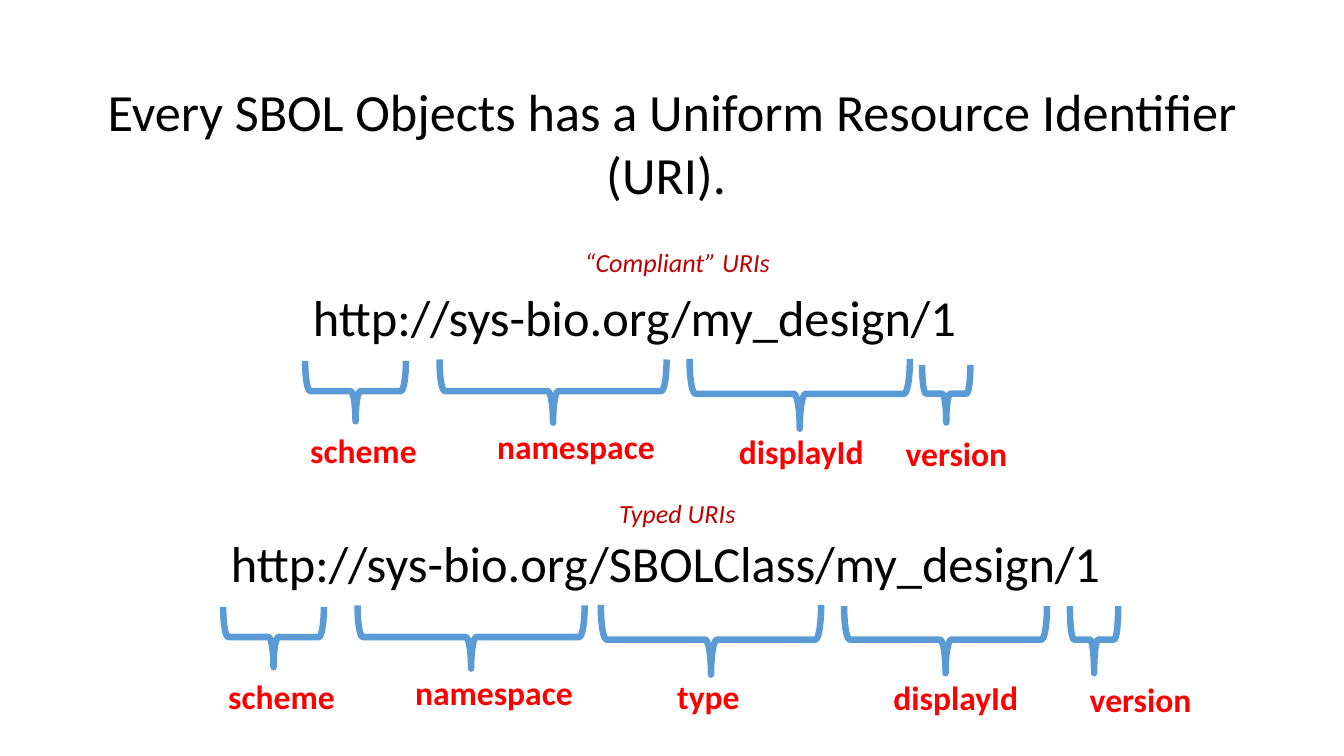
from pptx import Presentation, util as u
from pptx.dml.color import RGBColor
from pptx.enum import shapes, text

THEME = {
    "brace": {"color": "5B9BD5", "width": 3.5},
    "title": {"size": 28, "color": "000000"},
    "uri": {"size": 27, "color": "000000"},
    "caption": {"size": 14, "color": "C00000", "italic": True},
    "label": {"size": 18, "color": "FF0000", "bold": True},
}
FONT = "Calibri"
SLIDE_W = 10
SLIDE_H = SLIDE_W * 9 / 16
BLOCK_W, BLOCK_H = 9.32, 0.63
URI_H, LABEL_H = 0.56, 0.4

TITLE = "Every SBOL Objects has a Uniform Resource Identifier (URI). "
PARTS = {
    "scheme": {"brace_centre": 0.83, "label_drop": 1.07, "label_w": 1},
    "namespace": {"brace_centre": 0.83, "label_drop": 1.04, "label_w": 1.38},
    "type": {"brace_centre": 0.85, "label_drop": 1.07, "label_w": 0.67},
    "displayId": {"brace_centre": 0.85, "label_drop": 1.08, "label_w": 1.14},
    "version": {"brace_centre": 0.85, "label_drop": 1.09, "label_w": 0.96},
}
SHARED = [
    ("scheme", 0.04, 0.75, 0.45, -0.02),
    ("namespace", 1.04, 1.69, 0.47, 1.37),
]
EXAMPLES = [
    {
        "caption": "“Compliant” URIs", "caption_top": 1.81,
        "uri": "http://sys-bio.org/my_design/1", "at": (2.23, 2.08, 5.04),
        "segments": SHARED + [
            ("displayId", 2.9, 1.64, 0.52, 3.17),
            ("version", 4.63, 0.36, 0.43, 4.41),
        ],
    },
    {
        "caption": "Typed URIs", "caption_top": 3.68,
        "uri": "http://sys-bio.org/SBOLClass/my_design/1", "at": (1.62, 3.91, 6.73),
        "segments": SHARED + [
            ("type", 2.85, 1.64, 0.52, 3.32),
            ("displayId", 4.66, 1.51, 0.5, 4.93),
            ("version", 6.34, 0.36, 0.5, 6.39),
        ],
    },
]


def add_words(slide, words, role, left, top, width, height, wrap=False, **paragraph_format):
    box = slide.shapes.add_textbox(*map(u.Inches, (left, top, width, height)))
    frame = box.text_frame
    frame.word_wrap = wrap
    frame.vertical_anchor = text.MSO_ANCHOR.TOP
    paragraph = frame.paragraphs[0]
    for name, value in paragraph_format.items():
        setattr(paragraph, name, value)
    run = paragraph.add_run()
    run.text = words
    style = dict(THEME[role])
    run.font.color.rgb = RGBColor.from_string(style.pop("color"))
    style.update(name=FONT, size=u.Pt(style["size"]))
    for name, value in style.items():
        setattr(run.font, name, value)
    return frame


def add_brace(slide, left, centre, span, depth):
    box = (left + (span - depth) / 2, centre - span / 2, depth, span)
    brace = slide.shapes.add_shape(shapes.MSO_SHAPE.RIGHT_BRACE, *map(u.Inches, box))
    brace.rotation = 90
    brace.shadow.inherit = False
    brace.fill.background()
    brace.line.color.rgb = RGBColor.from_string(THEME["brace"]["color"])
    brace.line.width = u.Pt(THEME["brace"]["width"])


def add_example(slide, example):
    left, top, width = example["at"]
    for name, brace_x, span, depth, label_x in example["segments"]:
        part = PARTS[name]
        add_brace(slide, left + brace_x, top + part["brace_centre"], span, depth)
        add_words(slide, name, "label", left + label_x, top + part["label_drop"],
                  part["label_w"], LABEL_H)
    add_words(slide, example["uri"], "uri", left, top, width, URI_H)
    add_words(slide, example["caption"], "caption", 0.38, example["caption_top"],
              BLOCK_W, BLOCK_H, wrap=True, alignment=text.PP_ALIGN.CENTER, line_spacing=0.9)


def main():
    deck = Presentation()
    deck.slide_width, deck.slide_height = u.Inches(SLIDE_W), u.Inches(SLIDE_H)
    slide = deck.slides.add_slide(deck.slide_layouts[6])
    title = add_words(slide, TITLE, "title", (SLIDE_W - BLOCK_W) / 2, 0.49,
                      BLOCK_W, BLOCK_H, wrap=True, alignment=text.PP_ALIGN.CENTER)
    for side in ("left", "top", "right", "bottom"):
        setattr(title, f"margin_{side}", u.Inches(0.1))
    for example in EXAMPLES:
        add_example(slide, example)
    deck.save("out.pptx")


if __name__ == "__main__":
    main()
